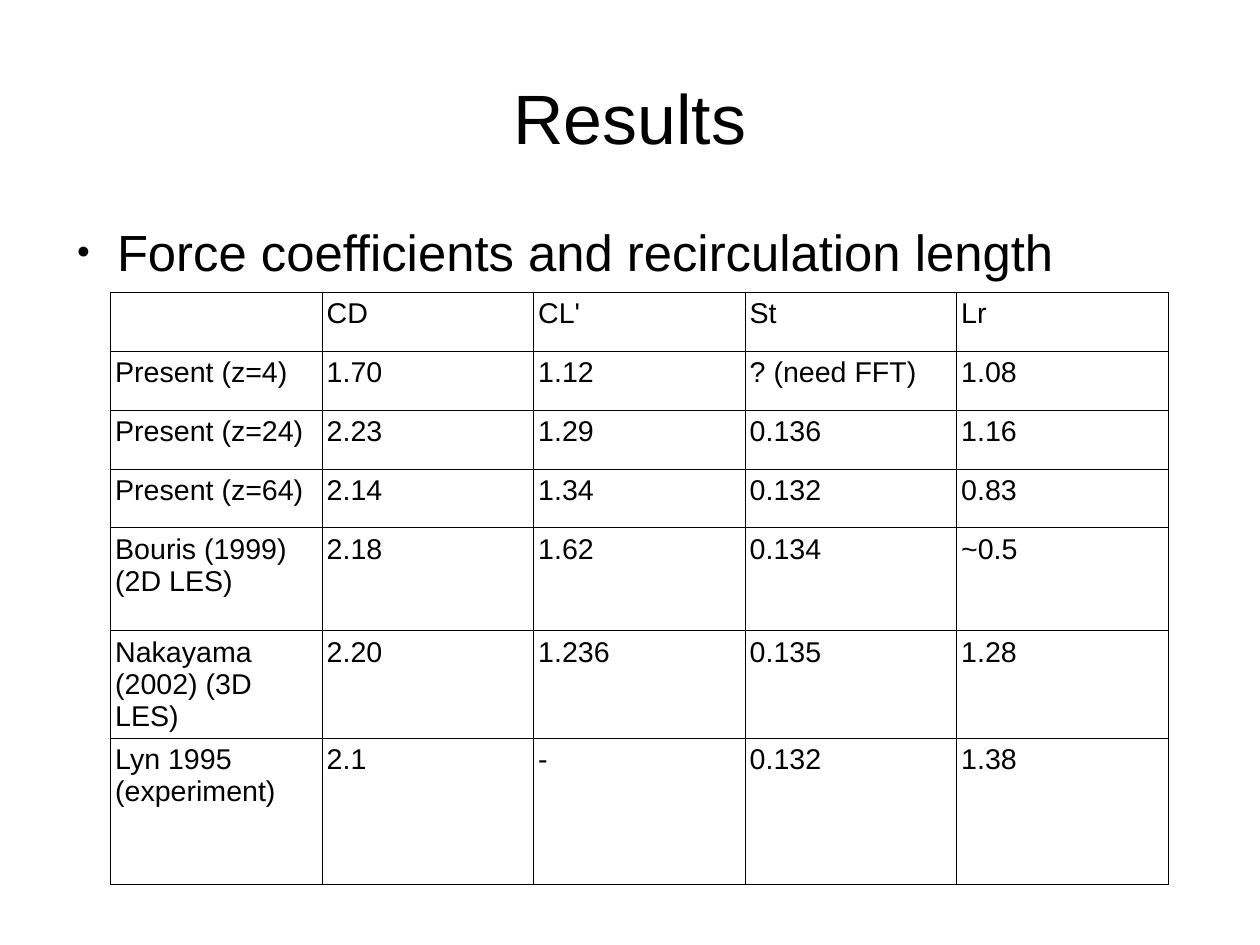
from dataclasses import dataclass

from lxml.etree import SubElement
from pptx import Presentation
from pptx.dml.color import RGBColor
from pptx.enum.text import MSO_ANCHOR, MSO_AUTO_SIZE, PP_ALIGN
from pptx.oxml.ns import qn
from pptx.util import Cm, Pt


@dataclass(frozen=True)
class Theme:
    font: str = "Arial"
    ink: str = "000000"
    paper: str = "FFFFFF"
    title: float = 44
    body: float = 32
    cell: float = 18
    rule: float = 0.57


HEAD = ["", "CD", "CL'", "St", "Lr"]
CASES = [
    ["Present (z=4)", "1.70", "1.12", "? (need FFT)", "1.08"],
    ["Present (z=24)", "2.23", "1.29", "0.136", "1.16"],
    ["Present (z=64)", "2.14", "1.34", "0.132", "0.83"],
    ["Bouris (1999) (2D LES)", "2.18", "1.62", "0.134", "~0.5"],
    ["Nakayama (2002) (3D LES)", "2.20", "1.236", "0.135", "1.28"],
    ["Lyn 1995 (experiment)", "2.1", "-", "0.132", "1.38"],
]
HEIGHTS = [1.31] * 4 + [2.28, 2.34, 3.25]
COL = 4.7


class Page:
    def __init__(self, deck, theme):
        self.theme = theme
        self.slide = deck.slides.add_slide(deck.slide_layouts[1])
        fill = self.slide.background.fill
        fill.solid()
        fill.fore_color.rgb = RGBColor.from_string(theme.paper)

    def style(self, frame, size):
        for para in frame.paragraphs:
            for run in para.runs:
                run.font.name = self.theme.font
                run.font.size = Pt(size)
                run.font.color.rgb = RGBColor.from_string(self.theme.ink)

    def place(self, shape, box, anchor):
        """Move a placeholder and clear its insets."""
        shape.left, shape.top, shape.width, shape.height = map(Cm, box)
        frame = shape.text_frame
        frame.margin_left = frame.margin_right = 0
        frame.margin_top = frame.margin_bottom = 0
        frame.vertical_anchor = anchor
        frame.auto_size = MSO_AUTO_SIZE.NONE
        frame.word_wrap = True
        return frame

    def title(self, text, box):
        frame = self.place(self.slide.shapes.title, box, MSO_ANCHOR.MIDDLE)
        frame.text = text
        frame.paragraphs[0].alignment = PP_ALIGN.CENTER
        self.style(frame, self.theme.title)

    def bullets(self, lines, box):
        frame = self.place(self.slide.placeholders[1], box, MSO_ANCHOR.TOP)
        frame.text = "\n".join(lines)
        for para in frame.paragraphs:
            para.space_before = Pt(0)
            para.space_after = Pt(14.2)
            props = para._p.get_or_add_pPr()
            props.set("marL", str(Cm(1.2)))
            props.set("indent", str(Cm(-0.9)))
            tint = SubElement(props, qn("a:buClr"))
            SubElement(tint, qn("a:srgbClr"), val=self.theme.ink)
            SubElement(props, qn("a:buSzPct"), val="45000")
            SubElement(props, qn("a:buFont"), typeface=self.theme.font)
            SubElement(props, qn("a:buChar"), char="●")
        self.style(frame, self.theme.body)

    def border(self, cell):
        props = cell._tc.get_or_add_tcPr()
        for side in ("lnL", "lnR", "lnT", "lnB"):
            line = SubElement(props, qn("a:" + side), w=str(Pt(self.theme.rule)))
            paint = SubElement(line, qn("a:solidFill"))
            SubElement(paint, qn("a:srgbClr"), val=self.theme.ink)

    def table(self, rows, left, top, width, heights):
        count = len(rows[0])
        frame = self.slide.shapes.add_table(
            len(rows), count, Cm(left), Cm(top),
            Cm(width * count), Cm(sum(heights)))
        grid = frame.table
        grid.first_row = grid.horz_banding = False
        for col in grid.columns:
            col.width = Cm(width)
        for row, height, words in zip(grid.rows, heights, rows):
            row.height = Cm(height)
            for cell, text in zip(row.cells, words):
                cell.text = text
                cell.margin_left = cell.margin_right = Cm(0.1)
                cell.margin_top = cell.margin_bottom = Cm(0.13)
                self.border(cell)
                cell.fill.background()
                self.style(cell.text_frame, self.theme.cell)


def main():
    deck = Presentation()
    deck.slide_width, deck.slide_height = Cm(28), Cm(21)
    page = Page(deck, Theme())
    page.title("Results", (1.4, 0.96, 25.2, 3.25))
    page.bullets(["Force coefficients and recirculation length"],
                 (1.4, 4.9, 25.2, 13.87))
    page.table([HEAD] + CASES, 2.46, 6.49, COL, HEIGHTS)
    deck.save("out.pptx")


if __name__ == "__main__":
    main()
